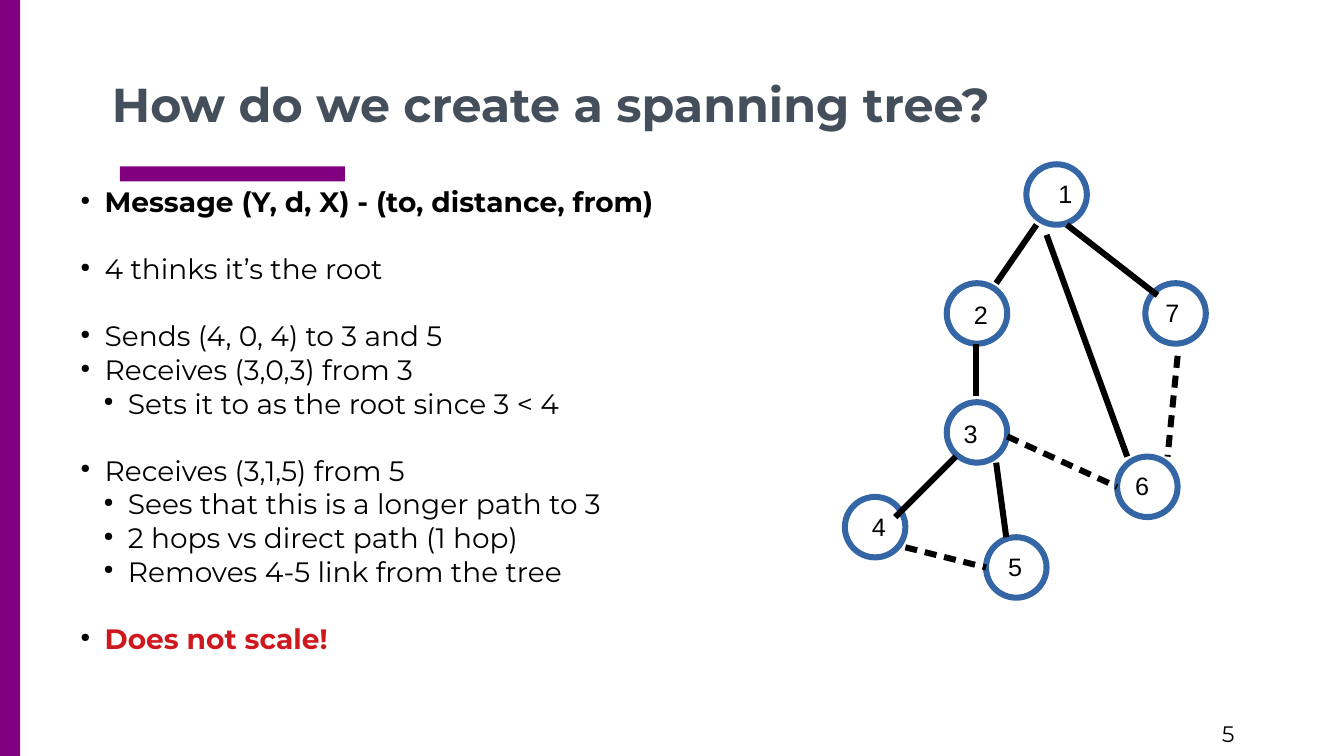
from lxml import etree
from pptx import Presentation
from pptx import util as u
from pptx.dml.color import RGBColor
from pptx.enum import shapes, text
from pptx.oxml import parse_xml
from pptx.oxml.ns import nsdecls, qn

PX = 9144  # EMU per px, 100 px to the inch
PURPLE, SLATE, BLUE, BLACK, RED = "800080", "454F5B", "3465A4", "000000", "CE181E"
LINE_WIDTH = u.Pt(4.31)
NODE_SIZE = 60
TITLE_ONLY = 5

# (level, text, font format, whether a gap follows)
POINTS = [
    (1, "Message (Y, d, X) - (to, distance, from)", {"bold": True}, True),
    (1, "4 thinks it’s the root", {}, True),
    (1, "Sends (4, 0, 4) to 3 and 5", {}, False),
    (1, "Receives (3,0,3) from 3", {}, False),
    (2, "Sets it to as the root since 3 < 4", {}, True),
    (1, "Receives (3,1,5) from 5", {}, False),
    (2, "Sees that this is a longer path to 3", {}, False),
    (2, "2 hops vs direct path (1 hop)", {}, False),
    (2, "Removes 4-5 link from the tree", {}, True),
    (1, "Does not scale!", {"bold": True, "color": RED}, False),
]

# name: (circle left, top), (label left, top)
NODES = {
    "1": ((1018, 163), (1040, 172)),
    "2": ((939, 281), (956, 292)),
    "3": ((939, 399), (946, 410)),
    "4": ((838, 493), (855, 502)),
    "5": ((978, 533), (990, 542)),
    "6": ((1108, 453), (1116, 462)),
    "7": ((1136, 281), (1146, 290)),
}

TREE_LINKS = [
    (1028, 223, 988, 281),
    (1058, 223, 1148, 293),
    (1038, 233, 1118, 453),
    (968, 341, 968, 393),
    (948, 453, 888, 513),
    (988, 459, 998, 533),
]
REMOVED_LINKS = [
    (999, 433, 1108, 483),
    (1168, 353, 1158, 453),
    (898, 543, 978, 563),
]


def emu(*lengths):
    return [u.Emu(length * PX) for length in lengths]


def rgb(color):
    return RGBColor.from_string(color)


def format_font(font, color=BLACK, **values):
    font.color.rgb = rgb(color)
    for name, value in values.items():
        setattr(font, name, value)


def format_frame(frame, inset_y=5, **values):
    frame.margin_left, frame.margin_right = emu(10, 10)
    frame.margin_top, frame.margin_bottom = emu(inset_y, inset_y)
    for name, value in values.items():
        setattr(frame, name, value)


def add_bar(page, *area):
    bar = page.shapes.add_shape(shapes.MSO_SHAPE.RECTANGLE, *emu(*area))
    bar.shadow.inherit = False
    bar.fill.solid()
    bar.fill.fore_color.rgb = rgb(PURPLE)
    bar.line.fill.background()


def add_title(page, words):
    title = page.shapes.title
    title.left, title.top, title.width, title.height = emu(101, 0, 1131, 141)
    format_frame(title.text_frame, inset_y=10, word_wrap=True,
                 vertical_anchor=text.MSO_ANCHOR.BOTTOM,
                 auto_size=text.MSO_AUTO_SIZE.NONE)
    para = title.text_frame.paragraphs[0]
    para.alignment = text.PP_ALIGN.LEFT
    span = para.add_run()
    span.text = words
    format_font(span.font, SLATE, name="Montserrat", size=u.Pt(34), bold=True)


def add_label(page, words, area, wrap=False, **values):
    box = page.shapes.add_textbox(*emu(*area))
    format_frame(box.text_frame, word_wrap=wrap)
    span = box.text_frame.paragraphs[0].add_run()
    span.text = words
    format_font(span.font, **values)


def add_bullet(para, level):
    properties = para._p.get_or_add_pPr()
    margin, indent = emu({1: 71, 2: 94}[level], -24)
    properties.set("marL", str(margin))
    properties.set("indent", str(indent))
    color = etree.SubElement(properties, qn("a:buClr"))
    etree.SubElement(color, qn("a:srgbClr"), val=BLACK)
    etree.SubElement(properties, qn("a:buSzPct"), val="45000")
    etree.SubElement(properties, qn("a:buChar"), char="●")


def add_points(page):
    box = page.shapes.add_textbox(*emu(23, 178, 1237, 554))
    frame = box.text_frame
    format_frame(frame, word_wrap=True)
    for index, (level, words, values, gap) in enumerate(POINTS):
        para = frame.add_paragraph() if index else frame.paragraphs[0]
        add_bullet(para, level)
        para.level = level
        para.line_spacing = u.Pt(24)
        para.space_after = u.Pt(24 if gap else 0)
        span = para.add_run()
        span.text = words
        format_font(span.font, name="Montserrat", size=u.Pt(20), **values)


def add_node(page, name, corner, label_corner):
    circle = page.shapes.add_shape(
        shapes.MSO_SHAPE.OVAL, *emu(*corner, NODE_SIZE, NODE_SIZE))
    circle.shadow.inherit = False
    circle.fill.background()
    circle.line.color.rgb = rgb(BLUE)
    circle.line.width = LINE_WIDTH
    add_label(page, name, (*label_corner, 34, 38), name="Arial", size=u.Pt(18))


def add_link(page, ends, dashed=False):
    link = page.shapes.add_connector(shapes.MSO_CONNECTOR.STRAIGHT, *emu(*ends))
    link.line.color.rgb = rgb(BLACK)
    link.line.width = LINE_WIDTH
    if dashed:
        link.line._get_or_add_ln().append(parse_xml(
            f'<a:custDash {nsdecls("a")}><a:ds d="200000" sp="130000"/></a:custDash>'))
    etree.SubElement(link._element.spPr, qn("a:effectLst"))


def main():
    deck = Presentation()
    deck.slide_width, deck.slide_height = emu(1333, 750)
    page = deck.slides.add_slide(deck.slide_layouts[TITLE_ONLY])
    add_bar(page, 119, 165, 223, 15)
    add_bar(page, 0, 0, 20, 750)
    add_label(page, "5", (1202, 710, 130, 40), wrap=True,
              name="Montserrat", size=u.Pt(16))
    add_title(page, "How do we create a spanning tree?")
    add_points(page)
    for name, (corner, label_corner) in NODES.items():
        add_node(page, name, corner, label_corner)
    for ends in TREE_LINKS:
        add_link(page, ends)
    for ends in REMOVED_LINKS:
        add_link(page, ends, dashed=True)
    deck.save("out.pptx")


if __name__ == "__main__":
    main()
